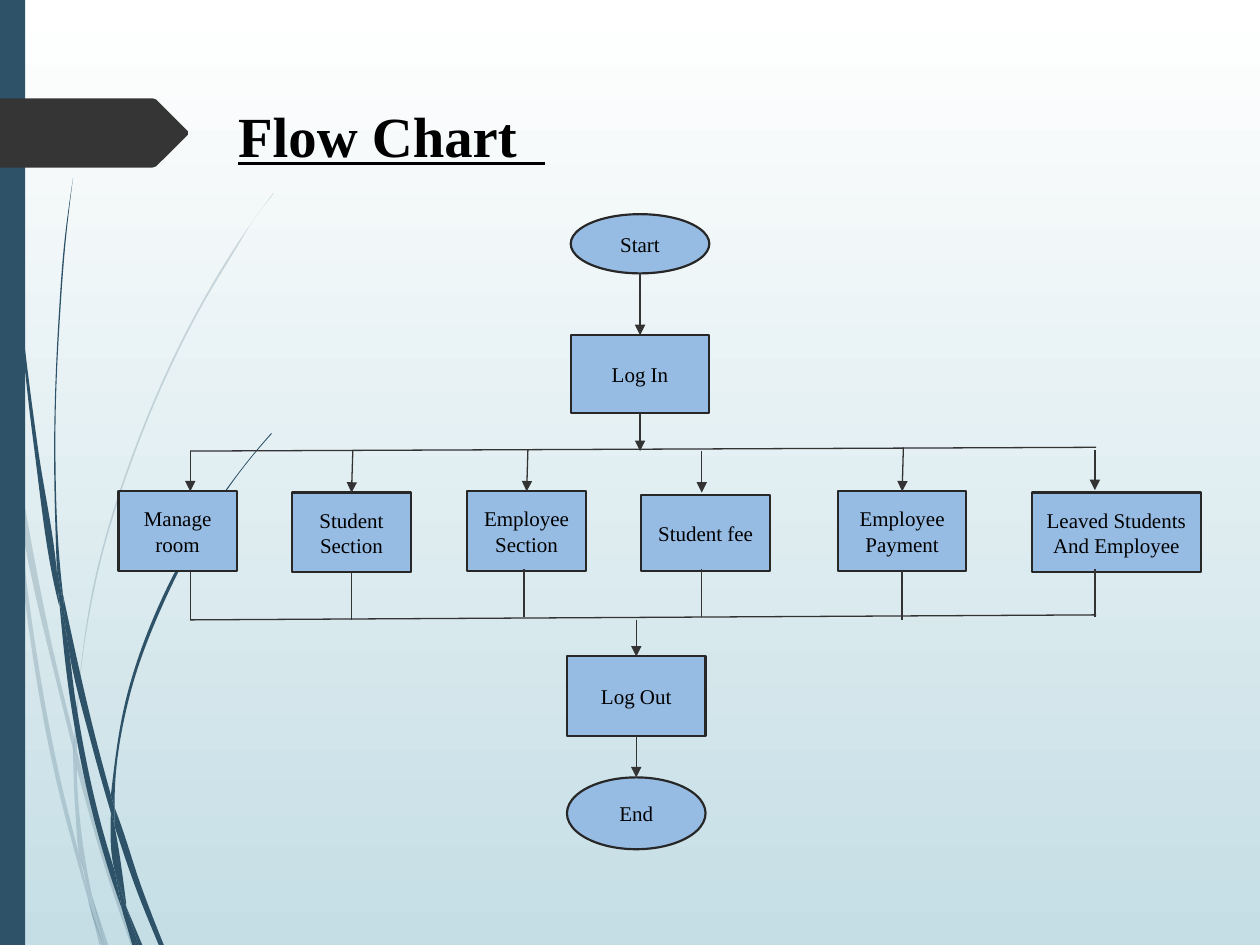
import math

import lxml.etree
import pptx
import pptx.dml.color
import pptx.enum.shapes
import pptx.enum.text
import pptx.oxml.ns
import pptx.util

HUES = {"top": "FFFFFF", "base": "C5DEE5", "stem": "2E5369", "badge": "353535",
        "box": "97BCE4", "edge": "272727", "link": "333333", "ink": "000000"}
FONT = "Times New Roman"
WIDE, HIGH = 10, 7.5

# Each blade of grass is bounded by smooth edges that meet at corners.
FAINT = [
    ([(.08, 3.5), (.06, 3.22), (0, 2.82)], [(0, 2.99), (.07, 3.44), (.08, 3.5)]),
    ([(.4, 5.22), (.59, 5.99)], [(.59, 5.86), (.43, 5.2), (.1, 3.45)],
     [(.1, 3.45), (.12, 3.76), (.4, 5.22)]),
    ([(.64, 6.07), (.61, 5.96)], [(.61, 6.1), (.85, 6.94), (1.04, 7.5)],
     [(1.08, 7.5), (.88, 6.92), (.64, 6.07)]),
    ([(.83, 7.5), (.86, 7.5)], [(.73, 7.11), (.83, 7.5)]),
    ([(.64, 6.83), (.48, 6.19), (.22, 4.69), (.12, 3.76), (.08, 3.5)],
     [(.08, 3.5), (.19, 4.7), (.45, 6.21), (.64, 6.93), (.7, 7.14)],
     [(.69, 7.07), (.64, 6.83)]),
    ([(.58, 5.99), (.6, 6.46), (.64, 6.83), (.67, 6.92), (.73, 7.11)],
     [(.73, 7.11), (.72, 7.06), (.63, 6.46), (.61, 6.1), (.61, 6.08)], [(.58, 5.99)]),
    ([(.61, 5.96), (.61, 5.84), (.76, 4.62), (1.11, 3.49), (1.59, 2.45),
      (1.87, 1.98), (2.01, 1.75), (2.17, 1.54)],
     [(2.17, 1.53), (2.01, 1.75), (1.86, 1.97), (1.58, 2.44), (1.1, 3.48),
      (.75, 4.61), (.59, 5.84)], [(.59, 5.86), (.61, 5.96)]),
    ([(.7, 7.14), (.79, 7.5)], [(.82, 7.5), (.7, 7.14)]),
    ([(.61, 6.08), (.61, 5.96)], [(.59, 5.86), (.58, 5.99)], [(.61, 6.08)]),
    ([(.67, 6.92), (.65, 6.83)], [(.69, 7.07), (.7, 7.14), (.82, 7.5)],
     [(.83, 7.5), (.73, 7.11), (.67, 6.92)]),
]
DARK = [
    ([(.02, 0), (.03, .48), (.05, 1.1), (.14, 2.33), (.27, 3.55), (.46, 4.77), (.47, 4.81)],
     [(.47, 4.81), (.45, 4.53), (.3, 3.55), (.15, 2.32), (.06, 1.09), (.04, .48), (.03, 0)]),
    ([(.5, 4.72), (.53, 5.05), (.73, 5.92), (.88, 6.45)],
     [(.88, 6.31), (.77, 5.9), (.5, 4.72)]),
    ([(.91, 6.41), (.91, 6.56)], [(.91, 6.56), (1.09, 7.08), (1.26, 7.5)],
     [(1.3, 7.5), (1.13, 7.06), (.94, 6.49), (.91, 6.41)]),
    ([(.91, 6.91), (.81, 6.57), (.6, 5.56), (.53, 5.05), (.47, 4.77)],
     [(.47, 4.77), (.56, 5.57), (.77, 6.59), (.92, 7.08), (.97, 7.22)],
     [(.96, 7.17), (.91, 6.91)]),
    ([(.5, 4.72), (.48, 4.53), (.44, 3.49), (.48, 2.45), (.52, 1.93), (.58, 1.41)],
     [(.58, 1.41), (.51, 1.93), (.47, 2.45), (.43, 3.49), (.45, 4.49)], [(.49, 4.72)]),
    ([(1.1, 7.5), (1.13, 7.5)], [(1, 7.19), (1.1, 7.5)]),
    ([(.47, 4.77), (.53, 5.05)], [(.5, 4.72), (.49, 4.72)],
     [(.45, 4.49), (.45, 4.53), (.47, 4.77)]),
    ([(.91, 6.41), (.91, 6.33), (1.03, 5.52), (1.31, 4.76), (1.69, 4.06),
      (1.91, 3.74), (2.03, 3.59), (2.16, 3.44)],
     [(2.15, 3.44), (2.03, 3.58), (1.91, 3.73), (1.68, 4.05), (1.29, 4.74),
      (1.01, 5.51), (.88, 6.31)], [(.91, 6.41)]),
    ([(.97, 7.22), (1.05, 7.5)], [(1.08, 7.5), (.97, 7.22)]),
    ([(.88, 6.45), (.91, 6.91), (.96, 7.06), (1, 7.19)],
     [(1, 7.16), (.91, 6.56), (.9, 6.51), (.88, 6.45)]),
    ([(.88, 6.45), (.9, 6.51), (.91, 6.56)], [(.91, 6.41), (.88, 6.31)], [(.88, 6.45)]),
    ([(.91, 6.91), (.96, 7.17), (.97, 7.22), (1.08, 7.5)],
     [(1.1, 7.5), (1, 7.19), (.96, 7.06), (.91, 6.91)]),
]
BADGE = [[dot] for dot in ((0, .78), (1.21, .78), (1.24, .79), (1.49, 1.04),
                           (1.49, 1.07), (1.24, 1.32), (1.21, 1.33), (0, 1.33))]

TITLE = [(" ", {"size": 28.8}), ("Flow Chart  ", {"size": 32.4, "underline": True})]
# Label, preset, left, top, width, height
STEPS = [("Start", "OVAL", 4.53, 1.7, 1.1, .47),
         ("Log In", "RECTANGLE", 4.53, 2.66, 1.1, .62),
         ("Log Out", "RECTANGLE", 4.5, 5.21, 1.1, .63),
         ("End", "OVAL", 4.5, 6.17, 1.1, .57)]
# Label, left, top, width, height, then x and y of arrow start, arrow end y,
# x and y of the lower rail, and y where the lower line ends
TASKS = [("Manage room", .94, 3.9, .94, .63, 1.51, 3.58, 3.9, 1.51, 4.92, 4.54),
         ("Student Section", 2.32, 3.91, .94, .63, 2.8, 3.58, 3.91, 2.79, 4.92, 4.54),
         ("Employee Section", 3.71, 3.9, .94, .63, 4.19, 3.57, 3.89, 4.16, 4.9, 4.52),
         ("Student fee", 5.09, 3.93, 1.02, .6, 5.57, 3.58, 3.91, 5.57, 4.9, 4.52),
         ("Employee Payment", 6.65, 3.9, 1.02, .63, 7.17, 3.55, 3.87, 7.16, 4.92, 4.54),
         ("Leaved Students And Employee", 8.19, 3.91, 1.34, .63,
          8.69, 3.57, 3.89, 8.69, 4.9, 4.52)]
RAILS = [((1.51, 3.58), (8.7, 3.55)), ((1.51, 4.92), (8.7, 4.88))]

inch = pptx.util.Inches
qn = pptx.oxml.ns.qn
kinds = pptx.enum.shapes.MSO_SHAPE
aligns = pptx.enum.text.PP_ALIGN
anchors = pptx.enum.text.MSO_ANCHOR


def hue(name):
    return pptx.dml.color.RGBColor.from_string(HUES[name])


def add_tag(parent, name, **values):
    return lxml.etree.SubElement(parent, qn(name), values)


def style(font, size, **more):
    values = {"name": FONT, "size": pptx.util.Pt(size), **more}
    for key, value in values.items():
        setattr(font, key, value)
    font.color.rgb = hue("ink")


def paint(shape, fill, edge=None):
    shape.shadow.inherit = False
    shape.fill.solid()
    shape.fill.fore_color.rgb = hue(fill)
    if edge:
        shape.line.color.rgb = hue(edge)
        shape.line.width = pptx.util.Pt(1.25)
    else:
        shape.line.fill.background()


def bend(edge):
    """Return the two Bezier handles of every span of a smooth edge."""
    spans = list(zip(edge, edge[1:]))
    gaps = [math.dist(a, b) for a, b in spans]
    rates = [[(q - p) / gap for p, q in zip(a, b)] for (a, b), gap in zip(spans, gaps)]
    slopes = [[(r * h + s * g) / (g + h) for r, s in zip(one, two)]
              for one, two, g, h in zip(rates, rates[1:], gaps, gaps[1:])]
    if slopes:
        first, last = [[1.5 * r - .5 * s for r, s in zip(rates[i], slopes[i])]
                       for i in (0, -1)]
        slopes = [first, *slopes, last]
    else:
        slopes = rates * 2
    return [([p + m * gap / 3 for p, m in zip(a, out)],
             [q - n * gap / 3 for q, n in zip(b, into)])
            for (a, b), gap, out, into in zip(spans, gaps, slopes, slopes[1:])]


def outline(shapes, edges, fill, alpha=None):
    dots, grips = [], []
    for edge in edges:
        if not dots or dots[-1] != edge[0]:
            dots.append(edge[0])
            grips.append(None)
        dots += edge[1:]
        grips += bend(edge)
    spots = [(inch(x), inch(y)) for x, y in dots]
    pen = shapes.build_freeform(*spots[0], scale=1.0)
    pen.add_line_segments(spots[1:], close=True)
    shape = pen.convert_to_shape()
    paint(shape, fill)
    left, top = (min(axis) for axis in zip(*spots))
    for span, pair in zip(list(shape.element.iter(qn("a:lnTo"))), grips[1:]):
        if pair:
            span.tag = qn("a:cubicBezTo")
            for i, (x, y) in enumerate(pair):
                grip = add_tag(span, "a:pt", x=str(inch(x) - left), y=str(inch(y) - top))
                span.insert(i, grip)
    if alpha:
        shade = next(shape.element.spPr.iter(qn("a:srgbClr")))
        add_tag(shade, "a:alpha", val=str(alpha * 1000))


def add_box(shapes, label, kind, *place):
    box = shapes.add_shape(getattr(kinds, kind), *map(inch, place))
    paint(box, "box", "edge")
    frame = box.text_frame
    frame.word_wrap, frame.vertical_anchor = True, anchors.MIDDLE
    para = frame.paragraphs[0]
    para.alignment = aligns.CENTER
    run = para.add_run()
    run.text = label
    style(run.font, 12)
    return box


def link(shapes, start, end, arrow=False, source=None, target=None):
    """Draw a line; source and target are (box, side) pairs to join."""
    line = shapes.add_connector(pptx.enum.shapes.MSO_CONNECTOR.STRAIGHT,
                                *map(inch, (*start, *end)))
    if source:
        line.begin_connect(*source)
    if target:
        line.end_connect(*target)
    line.line.color.rgb = hue("link")
    line.line.width = pptx.util.Pt(.75)
    props = line.element.spPr
    if arrow:
        add_tag(props.find(qn("a:ln")), "a:tailEnd", type="triangle")
    add_tag(props, "a:effectLst")


def add_title(title):
    place = {"left": 1.69, "top": .76, "width": 7.21, "height": .78}
    for key, value in place.items():
        setattr(title, key, inch(value))
    frame = title.text_frame
    frame.auto_size = pptx.enum.text.MSO_AUTO_SIZE.NONE
    frame.vertical_anchor, frame.margin_top = anchors.TOP, inch(.04)
    para = frame.paragraphs[0]
    para.alignment = aligns.LEFT
    for text, values in TITLE:
        run = para.add_run()
        run.text = text
        style(run.font, bold=True, **values)


def main():
    deck = pptx.Presentation()
    deck.slide_width, deck.slide_height = inch(WIDE), inch(HIGH)
    slide = deck.slides.add_slide(deck.slide_layouts[5])
    shapes = slide.shapes
    back = slide.background.fill
    back.gradient()
    back.gradient_angle = 270
    for stop, name, spot in zip(back.gradient_stops, ("top", "base"), (0, 1)):
        stop.color.rgb, stop.position = hue(name), spot

    for blades, alpha in ((FAINT, 20), (DARK, None)):
        for edges in blades:
            outline(shapes, edges, "stem", alpha)
    paint(shapes.add_shape(kinds.RECTANGLE, 0, 0, inch(.2), inch(HIGH)), "stem")
    outline(shapes, BADGE, "badge")
    add_title(shapes.title)

    start, enter, leave, end = [add_box(shapes, *step) for step in STEPS]
    for rail in RAILS:
        link(shapes, *rail)
    link(shapes, (5.08, 2.17), (5.08, 2.66), True, (start, 2), (enter, 0))
    link(shapes, (5.08, 3.28), (5.08, 3.58), True, (enter, 2))
    link(shapes, (5.05, 4.92), (5.05, 5.21), True, None, (leave, 0))
    link(shapes, (5.05, 5.84), (5.05, 6.17), True, (leave, 2), (end, 0))
    for label, x, y, w, h, in_x, in_y, tip, out_x, out_y, foot in TASKS:
        box = add_box(shapes, label, "RECTANGLE", x, y, w, h)
        for at, near, far, side in ((in_x, in_y, tip, 0), (out_x, out_y, foot, 2)):
            joint = (box, side) if abs(at - x - w / 2) < .015 else None
            link(shapes, (at, near), (at, far), side == 0, None, joint)

    deck.save("out.pptx")


if __name__ == "__main__":
    main()
